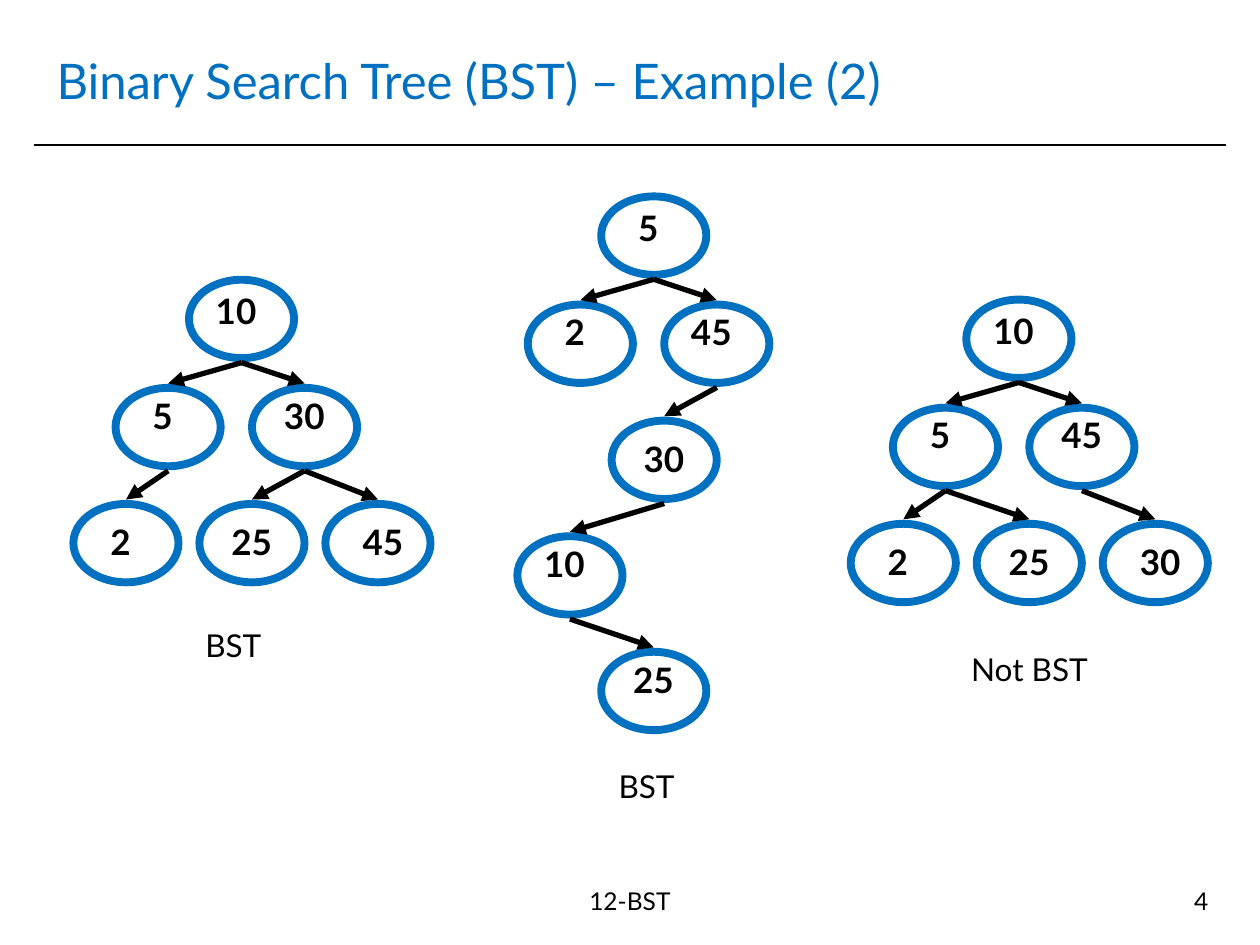
from dataclasses import dataclass

from lxml.etree import SubElement
from pptx import Presentation
from pptx.dml.color import RGBColor
from pptx.enum.shapes import MSO_CONNECTOR, MSO_SHAPE
from pptx.enum.text import MSO_ANCHOR, MSO_AUTO_SIZE, PP_ALIGN
from pptx.oxml.ns import qn
from pptx.util import Cm, Pt

FONT = "Lato"
BLUE = "0070C0"
BLACK = "000000"
NODE_WIDTH, NODE_HEIGHT = 2.12, 1.58
EDGE_GAP = 0.09
LABEL_HEIGHT = 1.12
ONE_DIGIT, TWO_DIGITS, WIDE = 1.06, 1.48, 1.69


@dataclass
class Place:
    """Node corner relative to the root, and its label relative to the node."""

    x: float
    y: float
    label_x: float
    label_y: float
    label_width: float


BALANCED = [
    Place(0, 0, 0.21, 0.08, TWO_DIGITS),
    Place(-1.48, 2.18, 0.42, 0, ONE_DIGIT),
    Place(1.27, 2.18, 0.21, 0, WIDE),
    Place(-2.33, 4.52, 0.42, 0.21, ONE_DIGIT),
    Place(0.21, 4.52, 0.21, 0.21, WIDE),
    Place(2.75, 4.52, 0.42, 0.21, TWO_DIGITS),
]
ZIGZAG = [
    Place(0, 0, 0.42, 0.08, ONE_DIGIT),
    Place(-1.48, 2.18, 0.42, 0, ONE_DIGIT),
    Place(1.27, 2.18, 0.21, 0, TWO_DIGITS),
    Place(0.21, 4.52, 0.21, 0.21, WIDE),
    Place(-1.69, 6.85, 0.21, 0, TWO_DIGITS),
    Place(0, 9.18, 0.21, 0, WIDE),
]


def color(hex_string):
    """Turn a hex string into a colour."""
    return RGBColor.from_string(hex_string)


def add_text(shapes, text, left, top, width, height, size, ink=BLACK,
             align=PP_ALIGN.CENTER, anchor=MSO_ANCHOR.TOP, bold=False,
             grow=False):
    """Add a one-line text box."""
    box = shapes.add_textbox(Cm(left), Cm(top), Cm(width), Cm(height))
    frame = box.text_frame
    frame.text = text
    frame.word_wrap = True
    frame.vertical_anchor = anchor
    if grow:
        frame.auto_size = MSO_AUTO_SIZE.SHAPE_TO_FIT_TEXT
    paragraph = frame.paragraphs[0]
    paragraph.alignment = align
    font = paragraph.runs[0].font
    font.name, font.size, font.bold = FONT, Pt(size), bold
    font.color.rgb = color(ink)


def add_line(shapes, start, end, weight, arrow=False):
    """Add a straight black line, with an arrowhead at its end if asked."""
    line = shapes.add_connector(
        MSO_CONNECTOR.STRAIGHT, *(Cm(value) for value in (*start, *end)))
    line.line.color.rgb = color(BLACK)
    line.line.width = Pt(weight)
    if arrow:
        SubElement(line.line._get_or_add_ln(), qn("a:tailEnd"), type="triangle")
    SubElement(line._element.spPr, qn("a:effectLst"))


def add_node(shapes, left, top):
    """Add an empty tree node."""
    node = shapes.add_shape(MSO_SHAPE.OVAL, Cm(left), Cm(top),
                            Cm(NODE_WIDTH), Cm(NODE_HEIGHT))
    node.shadow.inherit = False
    node.fill.background()
    node.line.color.rgb = color(BLUE)
    node.line.width = Pt(4.5)


def add_tree(slide, left, top, places, values, edges):
    """Add a grouped tree whose root has its corner at left, top."""
    shapes = slide.shapes.add_group_shape().shapes
    for place in places:
        add_node(shapes, left + place.x, top + place.y)
    middle = left + NODE_WIDTH / 2
    for parent, child in edges:
        upper, lower = places[parent], places[child]
        start = (middle + upper.x, top + upper.y + NODE_HEIGHT + EDGE_GAP)
        end = (middle + lower.x, top + lower.y - EDGE_GAP)
        add_line(shapes, start, end, 3, arrow=True)
    for place, value in zip(places, values):
        add_text(shapes, str(value), left + place.x + place.label_x,
                 top + place.y + place.label_y, place.label_width,
                 LABEL_HEIGHT, 20, bold=True, grow=True)


def main():
    """Build the slide with three example trees."""
    deck = Presentation()
    deck.slide_width, deck.slide_height = Cm(25.4), Cm(19.05)
    slide = deck.slides.add_slide(deck.slide_layouts[6])
    shapes = slide.shapes

    add_line(shapes, (0.69, 2.92), (24.71, 2.92), 1)
    add_text(shapes, "Binary Search Tree (BST) – Example (2)",
             0.89, 0.53, 23.6, 2.16, 28, BLUE, PP_ALIGN.LEFT,
             MSO_ANCHOR.MIDDLE)
    add_text(shapes, "12-BST", 8.5, 17.73, 8.4, 1.32, 14)
    add_text(shapes, "4", 18.69, 17.73, 5.92, 1.32, 14, align=PP_ALIGN.RIGHT)

    add_tree(slide, 3.81, 5.64, BALANCED, [10, 5, 30, 2, 25, 45],
             [(0, 1), (0, 2), (1, 3), (2, 4), (2, 5)])
    add_tree(slide, 19.48, 6.04, BALANCED, [10, 5, 45, 2, 25, 30],
             [(0, 1), (0, 2), (1, 3), (1, 4), (2, 5)])
    add_tree(slide, 12.12, 3.96, ZIGZAG, [5, 2, 45, 30, 10, 25],
             [(0, 1), (0, 2), (2, 3), (3, 4), (4, 5)])

    for caption, left, top in [("BST", 2.62, 12.5), ("BST", 10.95, 15.34),
                               ("Not BST", 18.67, 12.98)]:
        add_text(shapes, caption, left, top, 4.17, 1.02, 18, grow=True)

    deck.save("out.pptx")


if __name__ == "__main__":
    main()
